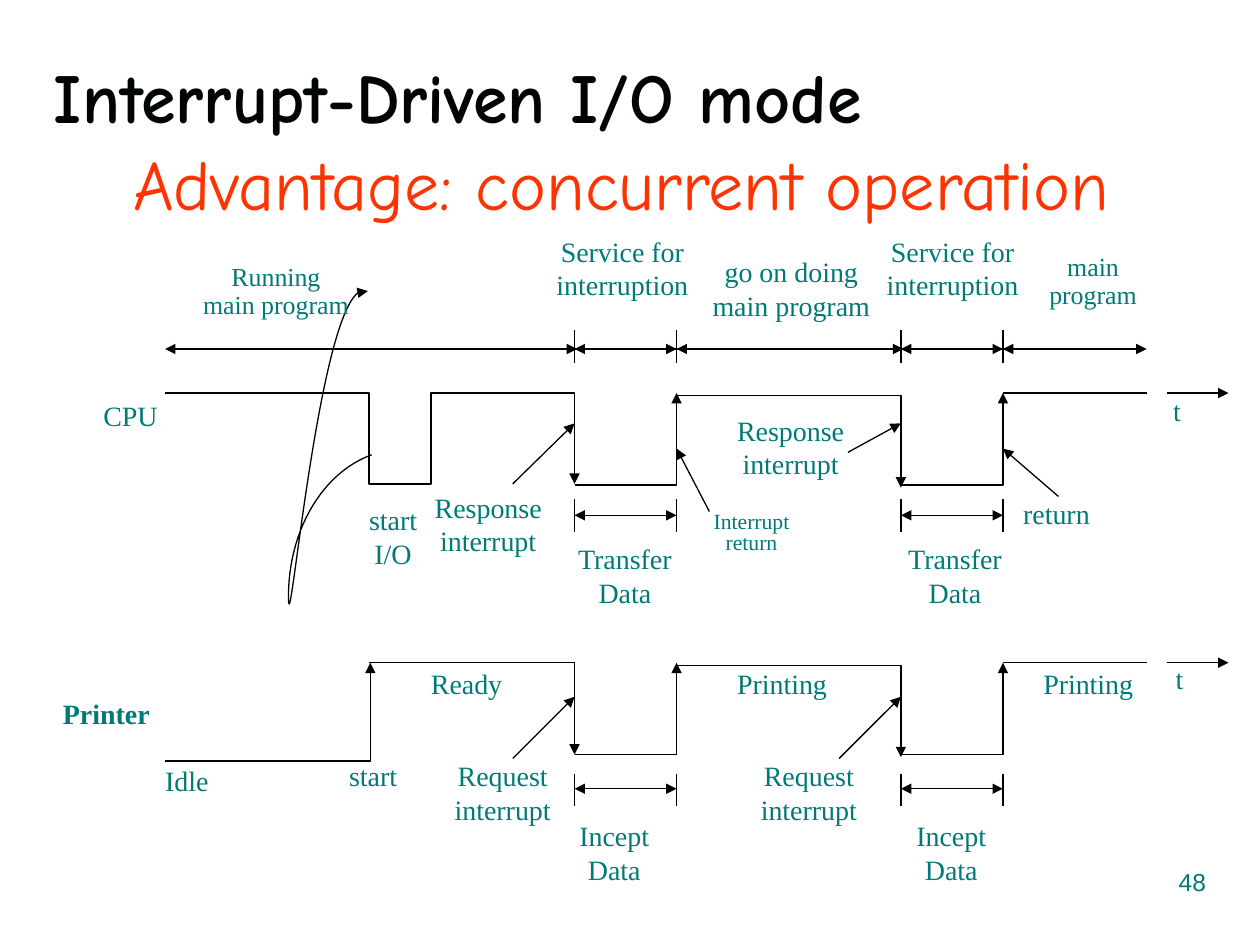
from itertools import product
from pptx import Presentation
from pptx.dml.color import RGBColor
from pptx.enum.shapes import MSO_CONNECTOR
from pptx.enum.text import MSO_ANCHOR, PP_ALIGN
from pptx.oxml.ns import qn
from pptx.util import Inches, Pt
from lxml import etree

COLORS = {"title": "000404", "accent": "FF3300", "label": "007A77", "line": "000000"}
SERIF, COMIC, SANS = "Times New Roman", "Comic Neue", "Arial"
L, C, R, J = PP_ALIGN.LEFT, PP_ALIGN.CENTER, PP_ALIGN.RIGHT, PP_ALIGN.JUSTIFY

# Time positions and rows of the diagram
START, END = 1.31, 9.1
SERVICES = [(4.56, 5.37), (7.15, 7.96)]
CPU, PRINTER = 3.12, 5.26
DROP = 0.73
TICK = 0.26
SPAN_ROWS = [(2.77, 2.62), (4.09, 3.96), (6.26, 6.14)]  # arrow y, tick top

# Signal edges that occur once
EDGES = [
    [(START, CPU), (2.93, CPU), (2.93, 3.84), (3.42, 3.84), (3.42, CPU),
     (4.56, CPU), (4.56, 3.84)],
    [(START, 6.04), (2.94, 6.04), (2.94, PRINTER)],
    [(2.93, PRINTER), (4.56, PRINTER), (4.56, PRINTER + DROP)],
]
# Extra arrowheads on the top time span: from x, to x
SPAN_HEADS = [(4.42, 4.58), (7.01, 7.17), (8.28, 7.96), (5.69, 5.37)]
# Pointers: tip, other end
POINTERS = [
    ((7.15, 3.36), (6.73, 3.59)), ((7.15, 5.53), (6.66, 6.02)),
    ((4.56, 5.53), (4.07, 6.02)), ((4.56, 3.36), (4.07, 3.84)),
    ((5.37, 3.56), (5.63, 4.06)), ((7.96, 3.56), (8.4, 3.94)),
]
# Start point, then three points for each Bezier segment
CURVE = [(2.92, 2.31), (2.55, 2.15), (2.29, 5.24), (2.29, 4.73),
         (2.29, 4.21), (2.56, 3.75), (2.95, 3.61)]

# Labels: text, left, top, width, height, alignment
LABELS = [
    ("t", 9.31, 3.12, 0.32, 0.48, J),
    ("t", 9.33, 5.25, 0.32, 0.48, J),
    ("CPU", 0.82, 3.16, 0.81, 0.53, J),
    ("Idle", 1.31, 6.06, 0.81, 0.53, J),
    ("Ready", 3.42, 5.29, 0.81, 0.53, J),
    ("start", 2.77, 6.02, 0.81, 0.53, J),
    ("Printing", 5.85, 5.29, 0.81, 0.53, J),
    ("Printing", 8.28, 5.29, 0.81, 0.53, J),
    ("return", 8.12, 3.94, 0.75, 0.47, J),
    ("Request\ninterrupt", 3.42, 6.02, 1.14, 0.78, C),
    ("Request\ninterrupt", 5.85, 6.02, 1.14, 0.78, C),
    ("Incept Data", 4.44, 6.5, 0.87, 0.78, C),
    ("Incept Data", 7.13, 6.5, 0.84, 0.78, C),
    ("start\nI/O", 2.63, 3.99, 0.98, 0.82, C),
    ("Response\ninterrupt", 3.42, 3.89, 0.91, 0.78, C),
    ("Response\ninterrupt", 5.82, 3.28, 0.91, 0.78, C),
    ("Transfer\nData", 4.39, 4.3, 1.14, 0.78, C),
    ("Transfer\nData", 7.01, 4.3, 1.14, 0.78, C),
    ("Service for interruption", 4.37, 1.86, 1.14, 0.78, C),
    ("Service for interruption", 6.99, 1.86, 1.14, 0.78, C),
    ("go on doing\nmain program", 5.47, 2.02, 1.62, 0.72, C),
]
# Tight labels: the same, then size and line spacing
TIGHT_LABELS = [
    ("Interrupt return", 5.51, 4.07, 0.91, 0.47, C, 12.4, 0.8),
    ("Running\nmain program", 1.38, 2.1, 1.62, 0.53, C, 14.8, 0.9),
    ("main program", 8.19, 2.02, 0.97, 0.53, C, 14.8, 0.9),
]

prs = Presentation()
prs.slide_width, prs.slide_height = Inches(10), Inches(7.5)
s = prs.slides.add_slide(prs.slide_layouts[6])


def add_text(text, x, y, w, h, align, size=16, spacing=None, font=SERIF,
             color="label", bold=False, inset=(0, 0), wrap=True):
    tf = s.shapes.add_textbox(Inches(x), Inches(y), Inches(w), Inches(h)).text_frame
    tf.word_wrap = wrap
    tf.margin_left = tf.margin_right = Inches(inset[0])
    tf.margin_top = tf.margin_bottom = Inches(inset[1])
    tf.text = text
    for p in tf.paragraphs:
        p.alignment = align
        if spacing:
            p.line_spacing = spacing
        for r in p.runs:
            r.font.name, r.font.size, r.font.bold = font, Pt(size), bold
            r.font.color.rgb = RGBColor.from_string(COLORS[color])
    return tf


def style_line(sp, ends):
    sp.line.color.rgb = RGBColor.from_string(COLORS["line"])
    sp.line.width = Pt(0.75)
    spPr = sp._element.spPr
    for end in ends:
        etree.SubElement(spPr.find(qn("a:ln")), qn(f"a:{end}End"), type="triangle")
    etree.SubElement(spPr, qn("a:effectLst"))


def add_line(x1, y1, x2, y2, *ends):
    cx = s.shapes.add_connector(MSO_CONNECTOR.STRAIGHT, Inches(x1), Inches(y1),
                                Inches(x2), Inches(y2))
    style_line(cx, ends)


def add_polyline(points, *ends):
    pts = [(Inches(x), Inches(y)) for x, y in points]
    builder = s.shapes.build_freeform(*pts[0])
    builder.add_line_segments(pts[1:], close=False)
    sp = builder.convert_to_shape()
    sp.fill.background()
    style_line(sp, ends)
    return sp


# Time spans and their ticks
add_line(START, 2.77, END, 2.77, "head", "tail")
for (y, top), (x1, x2) in product(SPAN_ROWS, SERVICES):
    add_line(x1, y, x2, y, "head", "tail")
    for x in (x1, x2):
        add_line(x, top, x, top + TICK)
for x1, x2 in SPAN_HEADS:
    add_line(x1, 2.77, x2, 2.77, "tail")

# CPU and printer signals
for edge in EDGES:
    add_polyline(edge, "tail")
(_, resume), (second, last) = SERVICES
for y in (CPU, PRINTER):
    for x1, x2 in SERVICES:
        add_polyline([(x1, y + DROP), (x2, y + DROP), (x2, y)], "tail")
    high = y + 0.02
    add_polyline([(resume, high), (second, high), (second, high + DROP)], "tail")
    add_line(last, y, END, y)
    add_line(9.26, y, 9.75, y, "tail")

# Pointers to the events
for tip, end in POINTERS:
    add_line(*tip, *end, "head")

# Curved arrow: each three line segments become one Bezier segment
curve = add_polyline(CURVE, "head")
segments = list(curve._element.iter(qn("a:lnTo")))
for i in range(0, len(segments), 3):
    bezier = etree.SubElement(segments[i].getparent(), qn("a:cubicBezTo"))
    for seg in segments[i:i + 3]:
        bezier.append(seg[0])
        seg.getparent().remove(seg)

# Labels
for label in LABELS + TIGHT_LABELS:
    add_text(*label)
add_text("Printer", 0.5, 5.53, 1.14, 0.53, J, bold=True)

# Title, subtitle and slide number
title = add_text("Interrupt-Driven I/O mode", 0.33, 0.28, 9.34, 0.95, L, 40, font=COMIC,
                 color="title", bold=True, inset=(0.1, 0.05))
title.vertical_anchor = MSO_ANCHOR.MIDDLE
add_text("Advantage: concurrent operation", 0.96, 1.07, 7.99, 0.77, L, 40, font=COMIC,
         color="accent", inset=(0.1, 0.05), wrap=False)
add_text("48", 7.17, 6.83, 2.5, 0.52, R, 14, font=SANS, inset=(0.1, 0.05))

prs.save("out.pptx")
